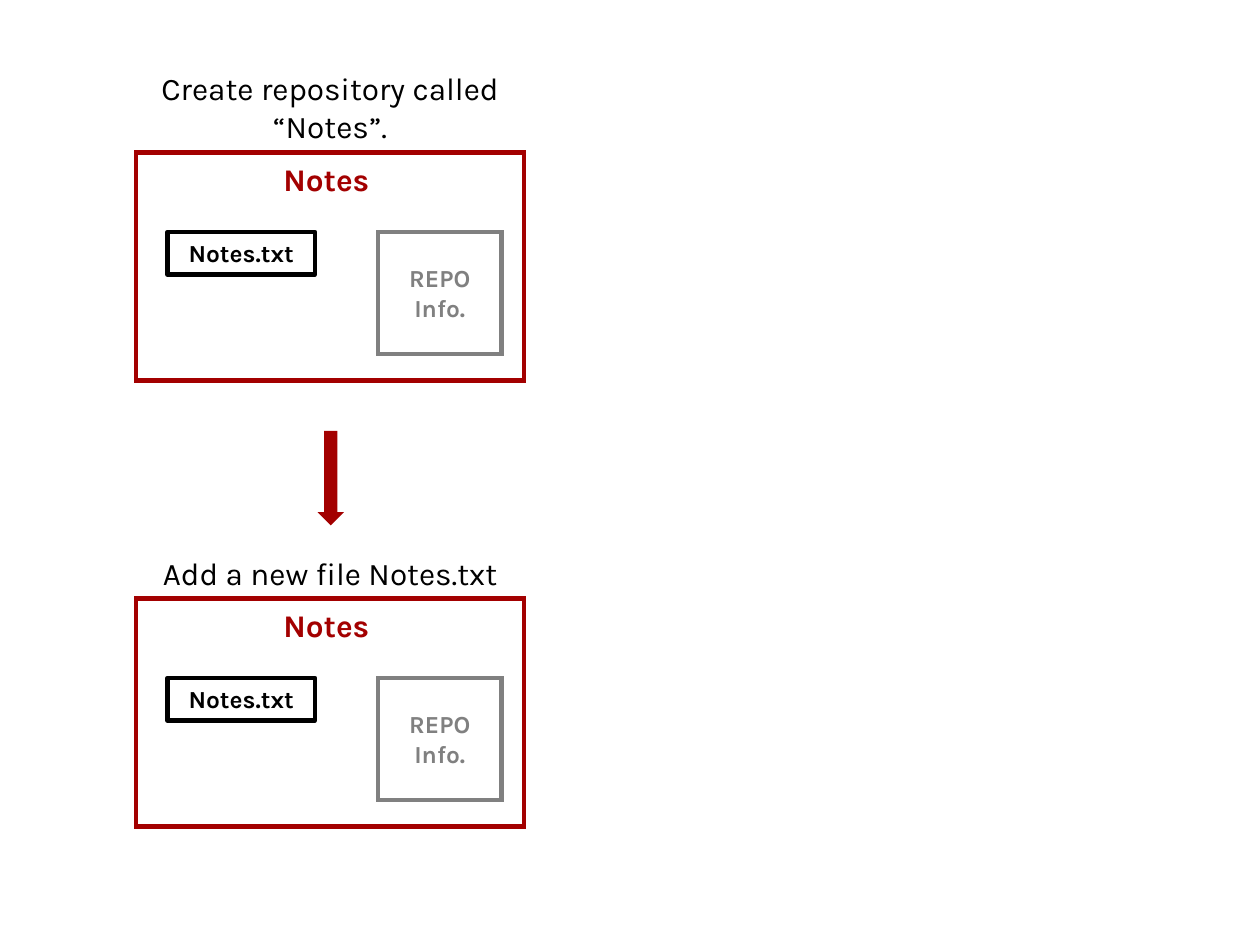
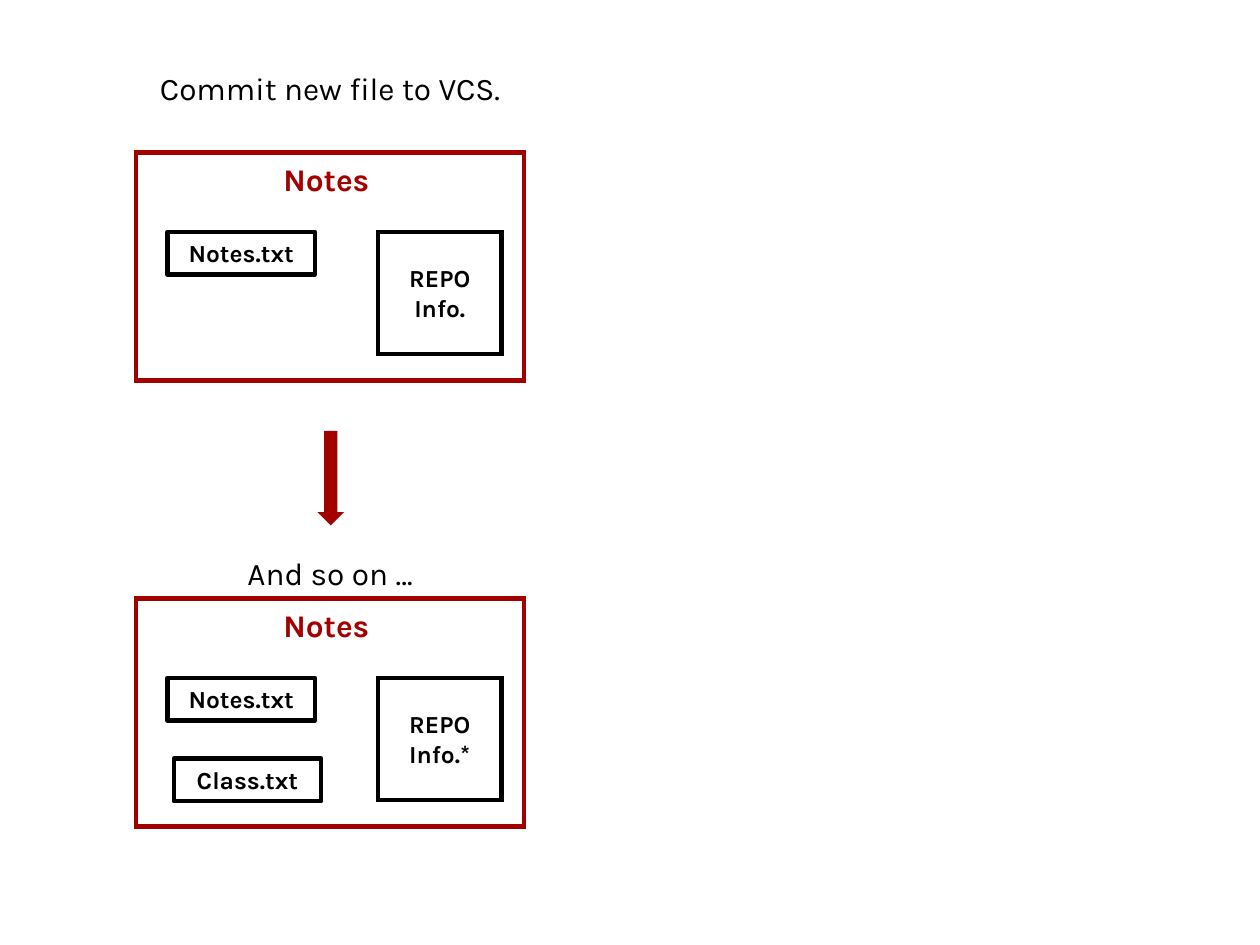
from lxml.etree import SubElement
from pptx import Presentation
from pptx.dml.color import RGBColor
from pptx.enum.shapes import MSO_SHAPE as Shape
from pptx.enum.text import MSO_ANCHOR as Anchor, MSO_AUTO_SIZE as AutoSize, PP_ALIGN as Align
from pptx.oxml.ns import qn
from pptx.util import Emu, Pt

PX = 9144  # 100 px to the inch
FONT = "Karla"
COLORS = {"red": "A30000", "gray": "808080", "black": "000000"}

# Folder frames shared by both slides: left, top, width, height
UPPER_FOLDER = (108, 121, 308, 181)
LOWER_FOLDER = (108, 475, 308, 181)
ARROW = (252, 342, 21, 75)

# File tags: offset from the folder's corner
FILE_OFFSETS = ((25, 63), (30, 127))
FILE_SIZE = (117, 34)

# Each step: folder, caption, caption top and height relative to folder,
# files, repository label, repository color
SLIDES = (
    (
        (UPPER_FOLDER, "Create repository called “Notes”.", -71, 71,
         ["Notes.txt"], "REPO Info.", "gray"),
        (LOWER_FOLDER, "Add a new file Notes.txt", -40, 40,
         ["Notes.txt"], "REPO Info.", "gray"),
    ),
    (
        (UPPER_FOLDER, "Commit new file to VCS.", -71, 40,
         ["Notes.txt"], "REPO Info.", "black"),
        (LOWER_FOLDER, "And so on …", -40, 40,
         ["Notes.txt", "Class.txt"], "REPO Info.*", "black"),
    ),
)


def rgb(color):
    return RGBColor.from_string(COLORS[color])


def scale(box):
    return [Emu(length * PX) for length in box]


def write(shape, text, size, color, bold=False, align=Align.CENTER):
    frame = shape.text_frame
    frame.word_wrap = True
    frame.auto_size = AutoSize.SHAPE_TO_FIT_TEXT
    frame.vertical_anchor = Anchor.TOP
    paragraph = frame.paragraphs[0]
    paragraph.alignment = align
    run = paragraph.add_run()
    run.text = text
    run.font.name = FONT
    run.font.size = Pt(size)
    run.font.bold = bold
    run.font.color.rgb = rgb(color)


def add_label(slide, box, text, size, color, bold=False, align=Align.CENTER):
    textbox = slide.shapes.add_textbox(*scale(box))
    write(textbox, text, size, color, bold, align)


def add_frame(slide, box, color, join="miter"):
    shape = slide.shapes.add_shape(Shape.RECTANGLE, *scale(box))
    shape.shadow.inherit = False
    shape.fill.background()
    shape.line.color.rgb = rgb(color)
    shape.line.width = Pt(2.5)
    SubElement(shape.line._get_or_add_ln(), qn(f"a:{join}"))
    return shape


def add_repository(slide, box, text, color):
    left, top, width, _ = box
    add_frame(slide, box, color)
    add_label(slide, (left, top + 20, width, 57), text, 14, color, bold=True)


def add_step(slide, box, caption, caption_top, caption_height, files, repository, color):
    left, top, width, _ = box
    add_label(slide, (left, top + caption_top, width, caption_height), caption, 18, "black")

    # Folder with its name
    add_frame(slide, box, "red")
    add_label(slide, (left + 107, top + 1, 96, 40), "Notes", 18, "red",
              bold=True, align=Align.LEFT)

    # Contents
    add_repository(slide, (left + 192, top + 63, 98, 97), repository, color)
    for name, (x, y) in zip(files, FILE_OFFSETS):
        tag = add_frame(slide, (left + x, top + y, *FILE_SIZE), "black", join="round")
        write(tag, name, 14, "black", bold=True)


def add_arrow(slide, box):
    arrow = slide.shapes.add_shape(Shape.DOWN_ARROW, *scale(box))
    arrow.shadow.inherit = False
    arrow.fill.solid()
    arrow.fill.fore_color.rgb = rgb("red")
    arrow.line.fill.background()


def main():
    presentation = Presentation()
    presentation.slide_width, presentation.slide_height = scale((1000, 750))
    for steps in SLIDES:
        slide = presentation.slides.add_slide(presentation.slide_layouts[6])
        for step in steps:
            add_step(slide, *step)
        add_arrow(slide, ARROW)
    presentation.save("out.pptx")


if __name__ == "__main__":
    main()
